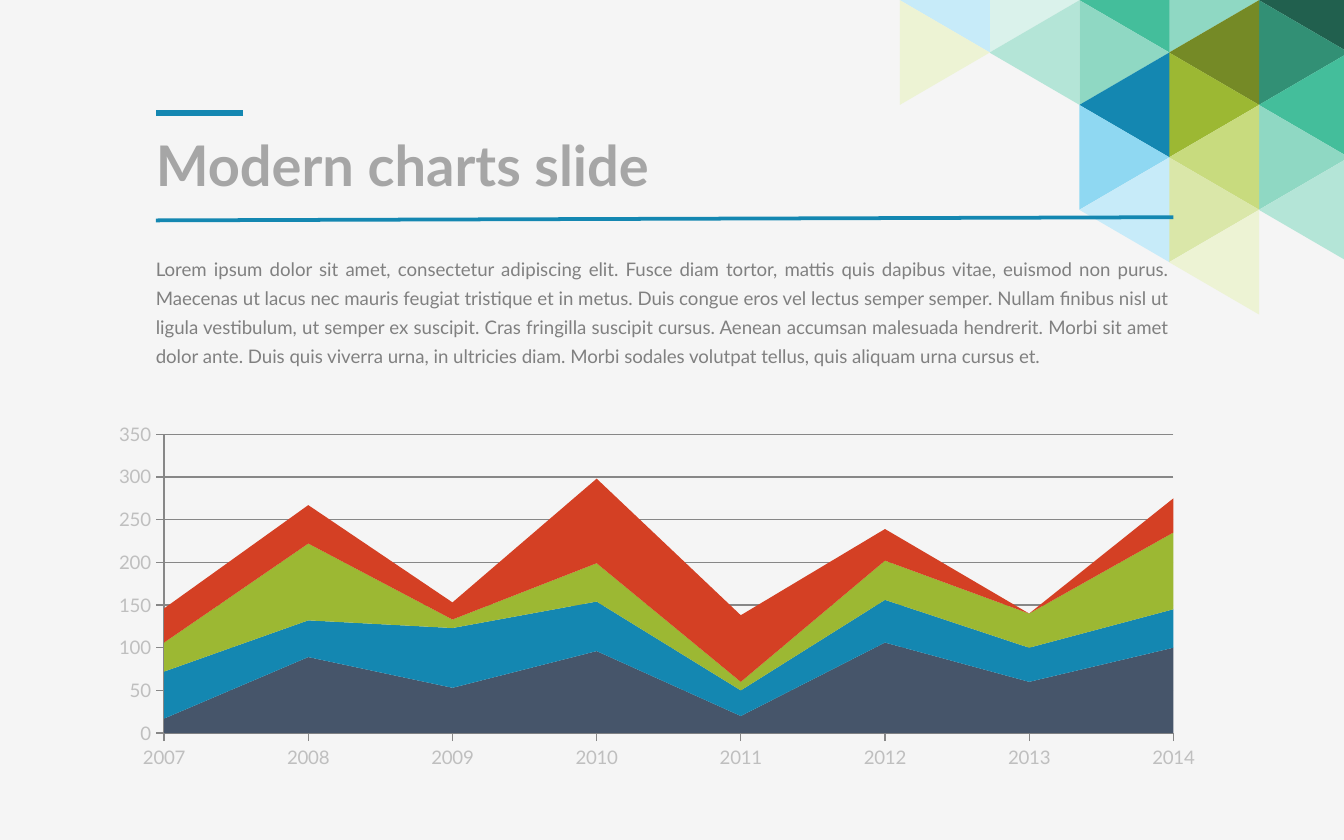
from dataclasses import dataclass

from lxml.etree import SubElement
from pptx import Presentation
from pptx.chart.data import CategoryChartData
from pptx.dml.color import RGBColor
from pptx.enum.chart import XL_CHART_TYPE, XL_TICK_LABEL_POSITION, XL_TICK_MARK
from pptx.enum.shapes import MSO_CONNECTOR, MSO_SHAPE
from pptx.enum.text import MSO_ANCHOR, PP_ALIGN
from pptx.oxml import parse_xml
from pptx.oxml.ns import nsdecls, qn
from pptx.util import Inches, Pt


@dataclass(frozen=True)
class Theme:
    font: str = "Lato"
    background: str = "F5F5F5"
    accent: str = "1487B1"
    title: str = "A6A6A6"
    body: str = "808080"
    labels: str = "BFBFBF"
    axis: str = "878787"
    series: tuple = ("46556A", "1487B1", "9CB833", "D44024")
    title_size: int = 30
    body_size: int = 10


def rgb(value):
    return RGBColor.from_string(value)


class SlideBuilder:
    """Draws on one slide; lengths are percentages of its width and height."""

    def __init__(self, prs, theme):
        self.prs, self.theme = prs, theme
        self.s = prs.slides.add_slide(prs.slide_layouts[6])
        fill = self.s.background.fill
        fill.solid()
        fill.fore_color.rgb = rgb(theme.background)

    def place(self, *lengths):
        """Turn alternating horizontal and vertical percentages into EMU."""
        sides = (self.prs.slide_width, self.prs.slide_height)
        return [round(v * sides[i % 2] / 100) for i, v in enumerate(lengths)]

    def triangle(self, x, y, w, h, color, rotation):
        sp = self.s.shapes.add_shape(MSO_SHAPE.ISOSCELES_TRIANGLE, *self.place(x, y, w, h))
        sp.rotation = rotation
        sp.shadow.inherit = False
        sp.fill.solid()
        sp.fill.fore_color.rgb = rgb(color)
        sp.line.fill.background()

    def line(self, x1, y1, x2, y2, width):
        cxn = self.s.shapes.add_connector(MSO_CONNECTOR.STRAIGHT, *self.place(x1, y1, x2, y2))
        cxn.line.color.rgb = rgb(self.theme.accent)
        cxn.line.width = Pt(width)
        SubElement(cxn._element.spPr, qn("a:effectLst"))

    def text(self, x, y, w, h, words, size, color, bold=False,
             anchor=MSO_ANCHOR.TOP, align=PP_ALIGN.LEFT, spacing=1.0):
        tf = self.s.shapes.add_textbox(*self.place(x, y, w, h)).text_frame
        tf.word_wrap = True
        tf.vertical_anchor = anchor
        tf.margin_left = tf.margin_right = tf.margin_top = tf.margin_bottom = 0
        p = tf.paragraphs[0]
        p.alignment, p.line_spacing = align, spacing
        r = p.add_run()
        r.text = words
        r.font.name, r.font.size, r.font.bold = self.theme.font, Pt(size), bold
        r.font.color.rgb = rgb(color)

    def area_chart(self, x, y, w, h, categories, series, plot):
        """Stacked areas; plot is the inner plot area as shares of the chart."""
        data = CategoryChartData(number_format="0")
        data.categories = categories
        for name, values in series.items():
            data.add_series(name, values)
        chart = self.s.shapes.add_chart(
            XL_CHART_TYPE.AREA_STACKED, *self.place(x, y, w, h), data).chart
        chart.has_legend = chart.has_title = False
        chart.font.name, chart.font.size = self.theme.font, Pt(self.theme.body_size)
        chart.font.color.rgb = rgb(self.theme.labels)
        for ser, color in zip(chart.plots[0].series, self.theme.series):
            ser.format.fill.solid()
            ser.format.fill.fore_color.rgb = rgb(color)

        cat, val = chart.category_axis, chart.value_axis
        cat.tick_label_position = XL_TICK_LABEL_POSITION.LOW
        cat.has_major_gridlines = False
        val.has_major_gridlines = True
        for axis in (cat, val):
            axis.major_tick_mark = XL_TICK_MARK.OUTSIDE
            axis.minor_tick_mark = XL_TICK_MARK.NONE
            axis.tick_labels.number_format = "General"
            axis.tick_labels.number_format_is_linked = False
        for part in (cat, val, val.major_gridlines):
            part.format.line.color.rgb = rgb(self.theme.axis)
            part.format.line.width = Pt(0.7)
        val._element.find(qn("c:crossBetween")).set("val", "midCat")

        area = chart._chartSpace.chart.plotArea
        for old in area.findall(qn("c:layout")):
            area.remove(old)
        sizes = "".join(f'<c:{k} val="{v}"/>' for k, v in zip("xywh", plot))
        area.insert(0, parse_xml(
            f'<c:layout {nsdecls("c")}><c:manualLayout><c:layoutTarget val="inner"/>'
            f'<c:xMode val="edge"/><c:yMode val="edge"/>{sizes}'
            '</c:manualLayout></c:layout>'))


# Mosaic columns from left to right, each listed from the top down
MOSAIC = (
    ("C7EBF9", "EDF3D4"),
    ("DAF2EB", "B4E5D7"),
    ("44BE9B", "8FD8C3", "1487B1", "8FD8F2", "C7EBF9"),
    ("8FD8C3", "758A26", "9CB833", "C8DB7E", "DAE7A9", "EDF3D4"),
    ("21604E", "329075", "44BE9B", "8FD8C3", "B4E5D7"),
)
BODY = (
    "Lorem ipsum dolor sit amet, consectetur adipiscing elit. Fusce diam tortor, mattis quis "
    "dapibus vitae, euismod non purus. Maecenas ut lacus nec mauris feugiat tristique et in "
    "metus. Duis congue eros vel lectus semper semper. Nullam finibus nisl ut ligula "
    "vestibulum, ut semper ex suscipit. Cras fringilla suscipit cursus. Aenean accumsan "
    "malesuada hendrerit. Morbi sit amet dolor ante. Duis quis viverra urna, in ultricies "
    "diam. Morbi sodales volutpat tellus, quis aliquam urna cursus et."
)
YEARS = [str(year) for year in range(2007, 2015)]
SERIES = {
    "Series 1": (17, 89, 53, 96, 20, 106, 60, 100),
    "Series 2": (55, 43, 70, 58, 30, 50, 40, 45),
    "Series 3": (34, 90, 10, 45, 10, 46, 40, 90),
    "Series 4": (40, 45, 20, 99, 78, 37, 0, 40),
}


def main():
    prs = Presentation()
    prs.slide_width, prs.slide_height = Inches(10), Inches(6.25)
    theme = Theme()
    slide = SlideBuilder(prs, theme)
    left = 11.6

    for col, colors in reversed(list(enumerate(MOSAIC))):
        for row, color in enumerate(colors):
            slide.triangle(66.4 + 6.68 * col, -5.35 + 6.24 * row, 7.8, 10.72, color,
                           90 if (row + col) % 2 else 270)

    slide.line(left, 26.24, 87.3, 25.86, 2)
    slide.line(18.1, 13.44, left, 13.44, 3)
    slide.text(left, 16.4, 75.6, 6.24, "Modern charts slide", theme.title_size,
               theme.title, bold=True, anchor=MSO_ANCHOR.MIDDLE)
    slide.text(left, 29.86, 75.3, 16.8, BODY, theme.body_size, theme.body,
               align=PP_ALIGN.JUSTIFY, spacing=1.3)
    slide.area_chart(7.2, 49.56, 83.45, 42.88, YEARS, SERIES, plot=(0.06, 0.05, 0.9, 0.83))
    prs.save("out.pptx")


if __name__ == "__main__":
    main()
